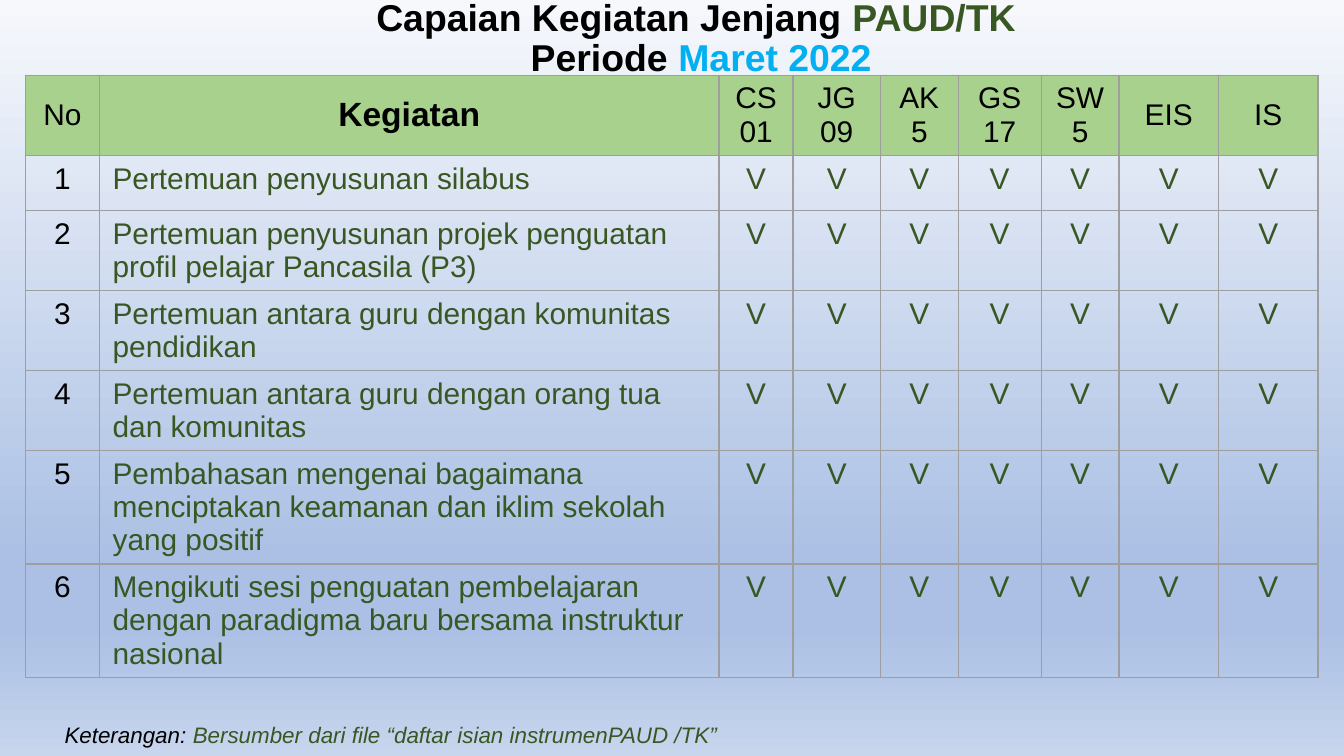
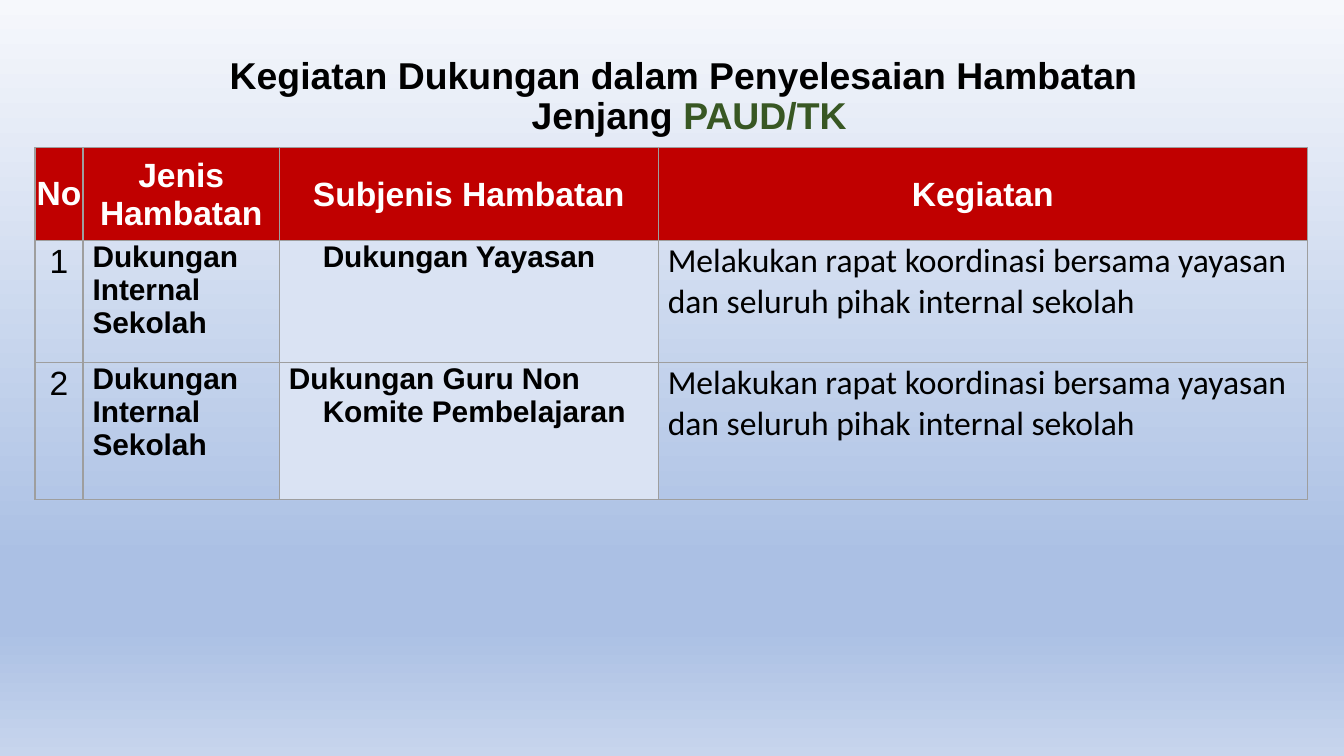
import pptx
import pptx.dml.color
import pptx.enum.text
import pptx.oxml
import pptx.oxml.ns
import pptx.util
from lxml import etree

Cm = pptx.util.Cm
Pt = pptx.util.Pt
CENTER = pptx.enum.text.PP_ALIGN.CENTER
LEFT = pptx.enum.text.PP_ALIGN.LEFT
MIDDLE = pptx.enum.text.MSO_ANCHOR.MIDDLE
TOP = pptx.enum.text.MSO_ANCHOR.TOP
qn = pptx.oxml.ns.qn

COLORS = {
    "black": "000000",
    "white": "FFFFFF",
    "level": "385723",
    "period": "00B0F0",
    "green_head": "A9D18E",
    "red_head": "C00000",
    "subtype": "DAE3F3",
    "border": "9E9E9E",
}
BACKDROP = [(0, "F6F8FC"), (74, "ABC0E4"), (83, "ABC0E4"), (100, "C7D5ED")]
BOX_INSETS = (0.18, 0.1, 0.18, 0.1)


def apply(target, values):
    for name, value in values.items():
        setattr(target, name, value)


def set_insets(target, insets):
    sides = ("margin_left", "margin_top", "margin_right", "margin_bottom")
    apply(target, dict(zip(sides, map(Cm, insets))))


class Deck:
    """Holds the presentation, its shared style and the current slide."""

    def __init__(self):
        self.prs = pptx.Presentation()
        apply(self.prs, {"slide_width": Cm(25.4), "slide_height": Cm(14.29)})
        self.slide = None
        self.paint_backdrop()

    def paint_backdrop(self):
        master = self.prs.slide_master
        fill = master.background.fill
        fill.gradient()
        fill.gradient_angle = 270
        stops = master._element.find(".//" + qn("p:bg")).find(".//" + qn("a:gsLst"))
        for stop in list(stops):
            stops.remove(stop)
        for percent, color in BACKDROP:
            stop = etree.SubElement(stops, qn("a:gs"), pos=str(percent * 1000))
            etree.SubElement(stop, qn("a:srgbClr"), val=color)

    def add_slide(self, runs, box):
        """Start a slide and place its title."""
        self.slide = self.prs.slides.add_slide(self.prs.slide_layouts[5])
        title = self.slide.shapes.title
        self.fill_box(title, box, runs, CENTER, {"size": Pt(20), "bold": True})

    def add_note(self, runs, box):
        note = self.slide.shapes.add_textbox(*map(Cm, box))
        self.fill_box(note, box, runs, LEFT, {"size": Pt(12), "italic": True})

    def fill_box(self, shape, box, runs, align, font):
        apply(shape, dict(zip(("left", "top", "width", "height"), map(Cm, box))))
        frame = shape.text_frame
        apply(frame, {"word_wrap": True, "vertical_anchor": MIDDLE,
                      "auto_size": pptx.enum.text.MSO_AUTO_SIZE.NONE})
        set_insets(frame, BOX_INSETS)
        paragraph = frame.paragraphs[0]
        apply(paragraph, {"alignment": align, "line_spacing": 0.9})
        self.add_runs(paragraph, runs, font)

    def add_runs(self, paragraph, runs, font):
        """Add (text, colour) runs; a newline becomes a line break."""
        for text, color in runs:
            for index, line in enumerate(text.split("\n")):
                if index:
                    paragraph.add_line_break()
                if line:
                    run = paragraph.add_run()
                    run.text = line
                    apply(run.font, {"name": "Arial", "bold": False, **font})
                    run.font.color.rgb = pptx.dml.color.RGBColor.from_string(COLORS[color])

    def add_table(self, box, widths, heights, rows):
        frame = self.slide.shapes.add_table(len(heights), len(widths), *map(Cm, box))
        table = frame.table
        apply(table, {"first_row": False, "horz_banding": False})
        for column, width in zip(table.columns, widths):
            column.width = Cm(width)
        for row, height in zip(table.rows, heights):
            row.height = Cm(height)
        frame.height = Cm(box[3])
        for row, entries in zip(table.rows, rows):
            for cell, (text, style) in zip(row.cells, entries):
                self.fill_cell(cell, text, style)

    def fill_cell(self, cell, text, style):
        cell.vertical_anchor = style.get("anchor", TOP)
        set_insets(cell, style.get("insets", (0.25, 0.13, 0.25, 0.13)))
        self.add_borders(cell)
        if "fill" in style:
            cell.fill.solid()
            cell.fill.fore_color.rgb = pptx.dml.color.RGBColor.from_string(COLORS[style["fill"]])
        else:
            cell.fill.background()
        paragraph = cell.text_frame.paragraphs[0]
        apply(paragraph, {"alignment": LEFT, **style.get("paragraph", {})})
        margin, indent = style.get("indent", (0, 0))
        if margin:
            properties = paragraph._p.get_or_add_pPr()
            properties.set("marL", str(Cm(margin)))
            properties.set("indent", str(Cm(indent)))
        self.add_runs(paragraph, [(text, style.get("color", "black"))], style["font"])

    def add_borders(self, cell):
        properties = cell._tc.get_or_add_tcPr()
        for side in ("a:lnL", "a:lnR", "a:lnT", "a:lnB"):
            line = etree.SubElement(properties, qn(side), w=str(Pt(0.75)))
            solid = etree.SubElement(line, qn("a:solidFill"))
            etree.SubElement(solid, qn("a:srgbClr"), val=COLORS["border"])


def build_achievements(deck):
    deck.add_slide(
        [("Capaian Kegiatan Jenjang ", "black"), ("PAUD/TK\n ", "level"),
         ("Periode ", "black"), ("Maret 2022", "period")],
        (1.98, 0.15, 22.35, 1.19))

    centered = {"alignment": CENTER}
    number = {"font": {"size": Pt(16)}, "paragraph": centered}
    activity = {"font": {"size": Pt(16)}, "color": "level"}
    check = {**number, "color": "level"}
    school = {**number, "anchor": MIDDLE, "fill": "green_head"}
    heading = {**school, "font": {"size": Pt(18), "bold": True}}

    schools = ["CS 01", "JG 09", "AK5", "GS17", "SW5", "EIS", "IS"]
    activities = [
        "Pertemuan penyusunan silabus",
        "Pertemuan penyusunan projek penguatan profil pelajar Pancasila (P3)",
        "Pertemuan antara guru dengan komunitas pendidikan",
        "Pertemuan antara guru dengan orang tua dan komunitas",
        "Pembahasan mengenai bagaimana menciptakan keamanan dan iklim sekolah yang positif",
        "Mengikuti sesi penguatan pembelajaran dengan paradigma baru bersama instruktur nasional",
    ]
    rows = [[("No", school), ("Kegiatan", heading)] + [(name, school) for name in schools]]
    for index, name in enumerate(activities, 1):
        rows.append([(str(index), number), (name, activity)] + [("V", check)] * len(schools))
    deck.add_table(
        (0.48, 1.42, 24.43, 12.04),
        [1.4, 11.71, 1.4, 1.65, 1.47, 1.57, 1.47, 1.88, 1.88],
        [1.07] + [1.04] * len(activities), rows)

    deck.add_note(
        [("Keterangan: ", "black"),
         ("Bersumber dari file “daftar isian instrumenPAUD /TK”", "level")],
        (1.04, 13.36, 23.29, 1.12))


def build_support(deck):
    deck.add_slide(
        [("Kegiatan Dukungan dalam Penyelesaian Hambatan \nJenjang ", "black"),
         ("PAUD/TK", "level")],
        (2.08, 0.69, 21.89, 2.31))

    body = {"insets": (0.18, 0, 0.18, 0)}
    number = {**body, "font": {"size": Pt(18)},
              "paragraph": {"alignment": CENTER, "line_spacing": 1.07}}
    obstacle = {**body, "font": {"size": Pt(16), "bold": True}}
    subtype = {**obstacle, "fill": "subtype"}
    activity = {**body, "font": {"size": Pt(18), "name": "Calibri"}}
    heading = {"font": {"size": Pt(18), "bold": True}, "color": "white", "fill": "red_head",
               "anchor": MIDDLE, "paragraph": {"alignment": CENTER},
               "insets": (0.03, 0.03, 0.03, 0)}
    number_heading = {**heading, "insets": (0, 0, 0, 0)}

    supports = [("Dukungan Yayasan", (0.64, 0)),
                ("Dukungan Guru Non Komite Pembelajaran", (0.64, -0.64))]
    rows = [[("No", number_heading), ("Jenis Hambatan", heading),
             ("Subjenis Hambatan", heading), ("Kegiatan", heading)]]
    for index, (support, indent) in enumerate(supports, 1):
        rows.append([
            (str(index), number),
            ("Dukungan Internal Sekolah", obstacle),
            (support, {**subtype, "indent": indent}),
            ("Melakukan rapat koordinasi bersama yayasan dan seluruh pihak internal sekolah",
             activity),
        ])
    deck.add_table((0.66, 2.79, 24.05, 6.65), [0.91, 3.71, 7.16, 12.27],
                   [1.75, 2.31, 2.59], rows)


def main():
    deck = Deck()
    build_achievements(deck)
    build_support(deck)
    deck.prs.save("out.pptx")


if __name__ == "__main__":
    main()
